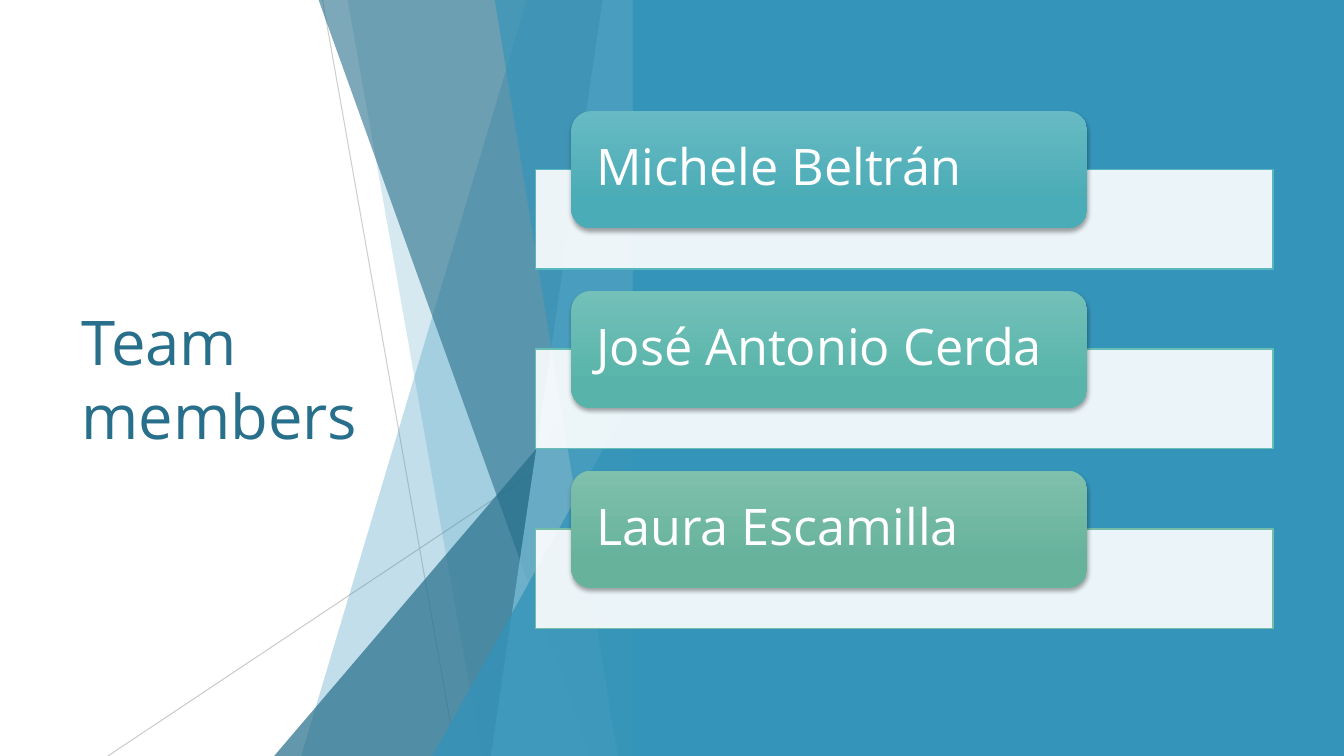
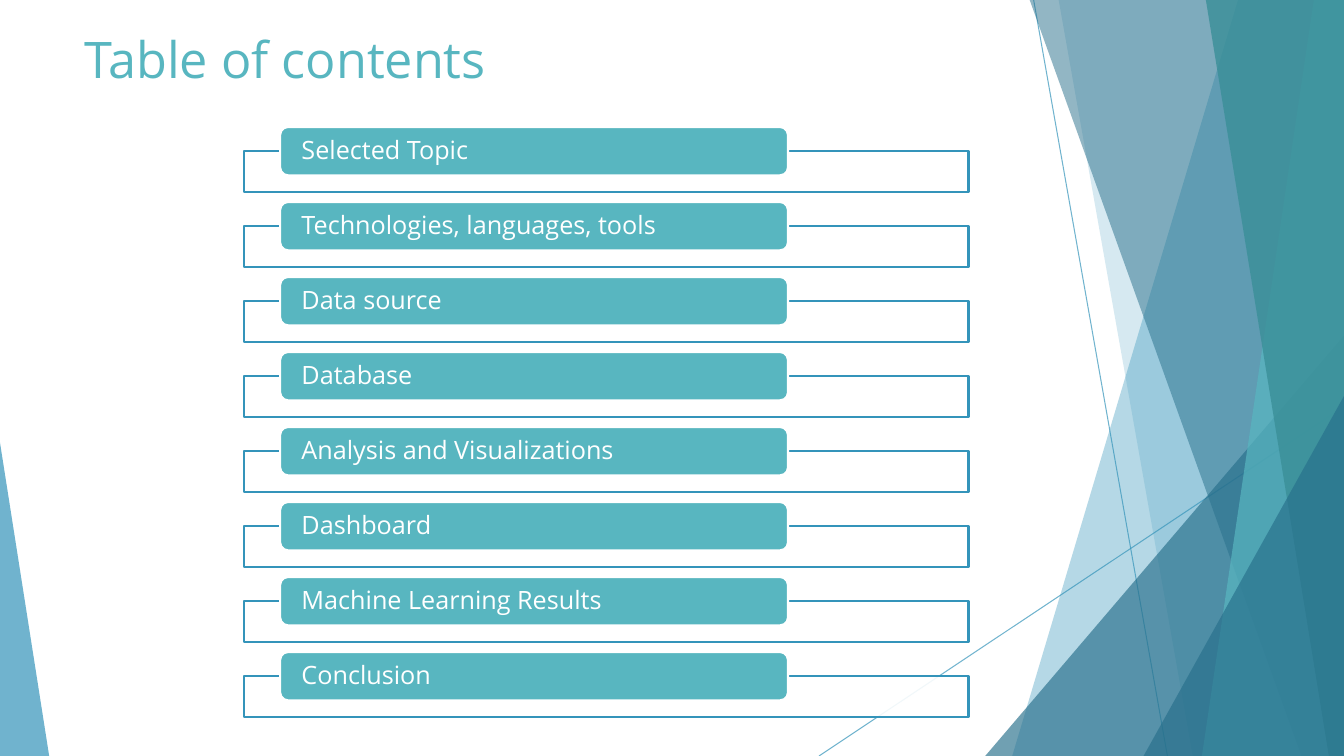
from pptx import Presentation
from pptx import util as u
from pptx.dml.color import RGBColor
from pptx.enum import shapes, text
from pptx.oxml.ns import qn
from lxml import etree

W, H = 33.87, 19.05
BLUE, NAVY, TEAL, WHITE = "3494BA", "276F8B", "58B6C0", "FFFFFF"
KIND = shapes.MSO_SHAPE


def paint(fill, color, alpha=100):
    """One hex string gives a solid fill, a pair gives a downward gradient."""
    if isinstance(color, tuple):
        fill.gradient()
        fill.gradient_angle = 270
        for stop, position, shade in zip(fill.gradient_stops, (0, 0.78), color):
            stop.position = position
            stop.color.rgb = RGBColor.from_string(shade)
        return
    fill.solid()
    fill.fore_color.rgb = RGBColor.from_string(color)
    if alpha < 100:
        clr = fill._xPr.find(qn("a:solidFill"))[0]
        etree.SubElement(clr, qn("a:alpha")).set("val", str(alpha * 1000))


def write(sp, words, size, color, anchor):
    tf = sp.text_frame
    tf.word_wrap = True
    tf.vertical_anchor = anchor
    tf.text = words
    p = tf.paragraphs[0]
    p.alignment = text.PP_ALIGN.LEFT
    font = p.runs[0].font
    font.name, font.size = "Open Sans", u.Pt(size)
    paint(font.fill, color)
    return tf


# Facets, measured from the right edge of the pattern
RAYS = [(-7.82, 0, -4.45, H), (0, 10.24, -13.23, H)]
# Bands give top x and bottom x, wedges give left x and top y
FACETS = [("band", -2.67, -8.36), ("band", -7.19, -3.81), ("wedge", -9.04, 8.46),
          ("band", -7.92, -1.07), ("band", -0.76, -3.58), ("band", -3.48, -0.38),
          ("wedge", -5.05, 9.98)]

MEMBERS = [("Michele Beltrán", TEAL, ("67BAC3", "4AACB6")),
           ("José Antonio Cerda", "67BEB5", ("73C1B9", "58B4AA")),
           ("Laura Escamilla", "75BDA7", ("7FC0AC", "66B29B"))]
TOPICS = ["Selected Topic", "Technologies, languages, tools", "Data source",
          "Database", "Analysis and Visualizations", "Dashboard",
          "Machine Learning Results", "Conclusion"]

SLIDES = [
    dict(edge=15.95, rays=[("BFBFBF", 75), ("BFBFBF", 80)],
         facets=[(BLUE, 30), (BLUE, 20), (NAVY, 72), (NAVY, 60),
                 ("7FC1DB", 70), (BLUE, 65), (BLUE, 80)],
         side=(KIND.RECTANGLE, 15.95, 0, W - 15.95, H, 100),
         title=("Team members", 44, NAVY, text.MSO_ANCHOR.MIDDLE),
         title_box=(1.8, 3.84, 9.86, 11.38),
         rows=MEMBERS, bar=(13.49, 4.27, 18.59, 2.51), card=(14.4, 2.8, 13, 2.95),
         pitch=4.53, size=36, bar_line=1, raised=True),
    dict(edge=W, rays=[(BLUE, 70), (BLUE, 70)],
         facets=[(BLUE, 36), (BLUE, 20), (NAVY, 66), (NAVY, 50),
                 (TEAL, 70), ("3A8F98", 80), (NAVY, 66)],
         side=(KIND.ISOSCELES_TRIANGLE, 0, 11.15, 1.24, 7.9, 70),
         title=("Table of contents", 36, TEAL, text.MSO_ANCHOR.TOP),
         title_box=(1.88, 0.58, 23.88, 3.66),
         rows=[(topic, BLUE, TEAL) for topic in TOPICS],
         bar=(6.15, 3.81, 18.26, 1.04), card=(7.06, 3.2, 12.8, 1.22),
         pitch=1.89, size=18, bar_line=1.5, raised=False),
]

prs = Presentation()
prs.slide_width, prs.slide_height = u.Cm(W), u.Cm(H)

for d in SLIDES:
    s = prs.slides.add_slide(prs.slide_layouts[6])
    edge = d["edge"]

    # Thin rays
    for (x1, y1, x2, y2), (color, alpha) in zip(RAYS, d["rays"]):
        ray = s.shapes.add_connector(shapes.MSO_CONNECTOR.STRAIGHT, u.Cm(edge + x1),
                                     u.Cm(y1), u.Cm(edge + x2), u.Cm(y2))
        ray.line.width = u.Pt(0.75)
        paint(ray.line.fill, color, alpha)
        etree.SubElement(ray._element.spPr, qn("a:effectLst"))

    # Translucent bands and wedges
    for (kind, a, b), (color, alpha) in zip(FACETS, d["facets"]):
        if kind == "band":
            fb = s.shapes.build_freeform(u.Cm(edge + a), 0)
            fb.add_line_segments([(u.Cm(edge), 0), (u.Cm(edge), u.Cm(H)),
                                  (u.Cm(edge + b), u.Cm(H))])
            sp = fb.convert_to_shape()
        else:
            sp = s.shapes.add_shape(KIND.ISOSCELES_TRIANGLE, u.Cm(edge + a), u.Cm(b),
                                    u.Cm(-a), u.Cm(H - b))
            sp.adjustments[0] = 1
        sp.shadow.inherit = False
        paint(sp.fill, color, alpha)
        sp.line.fill.background()

    # Blue side panel or corner
    kind, *box, alpha = d["side"]
    side = s.shapes.add_shape(kind, *map(u.Cm, box))
    if kind == KIND.ISOSCELES_TRIANGLE:
        side.adjustments[0] = 0
    side.shadow.inherit = False
    paint(side.fill, BLUE, alpha)
    side.line.fill.background()

    # Title
    write(s.shapes.add_textbox(*map(u.Cm, d["title_box"])), *d["title"])

    # List of bars with a rounded card on each
    for i, (words, outline, color) in enumerate(d["rows"]):
        left, top, width, height = d["bar"]
        bar = s.shapes.add_shape(KIND.RECTANGLE, u.Cm(left), u.Cm(top + i * d["pitch"]),
                                 u.Cm(width), u.Cm(height))
        bar.shadow.inherit = False
        paint(bar.fill, WHITE, 90)
        paint(bar.line.fill, outline)
        bar.line.width = u.Pt(d["bar_line"])

        left, top, width, height = d["card"]
        card = s.shapes.add_shape(KIND.ROUNDED_RECTANGLE, u.Cm(left),
                                  u.Cm(top + i * d["pitch"]), u.Cm(width), u.Cm(height))
        card.shadow.inherit = False
        paint(card.fill, color)
        if d["raised"]:
            card.line.fill.background()
            effects = card._element.spPr.find(qn("a:effectLst"))
            shadow = etree.SubElement(effects, qn("a:outerShdw"), blurRad="38100",
                                      dist="25400", dir="5400000", rotWithShape="0")
            black = etree.SubElement(shadow, qn("a:srgbClr"), val="000000")
            etree.SubElement(black, qn("a:alpha"), val="35000")
        else:
            paint(card.line.fill, WHITE)
            card.line.width = u.Pt(1.5)
        tf = write(card, words, d["size"], WHITE, text.MSO_ANCHOR.MIDDLE)
        tf.margin_left = tf.margin_right = u.Cm(0.48)
        tf.margin_top = tf.margin_bottom = 0
        tf.paragraphs[0].line_spacing = 0.9

prs.save("out.pptx")
